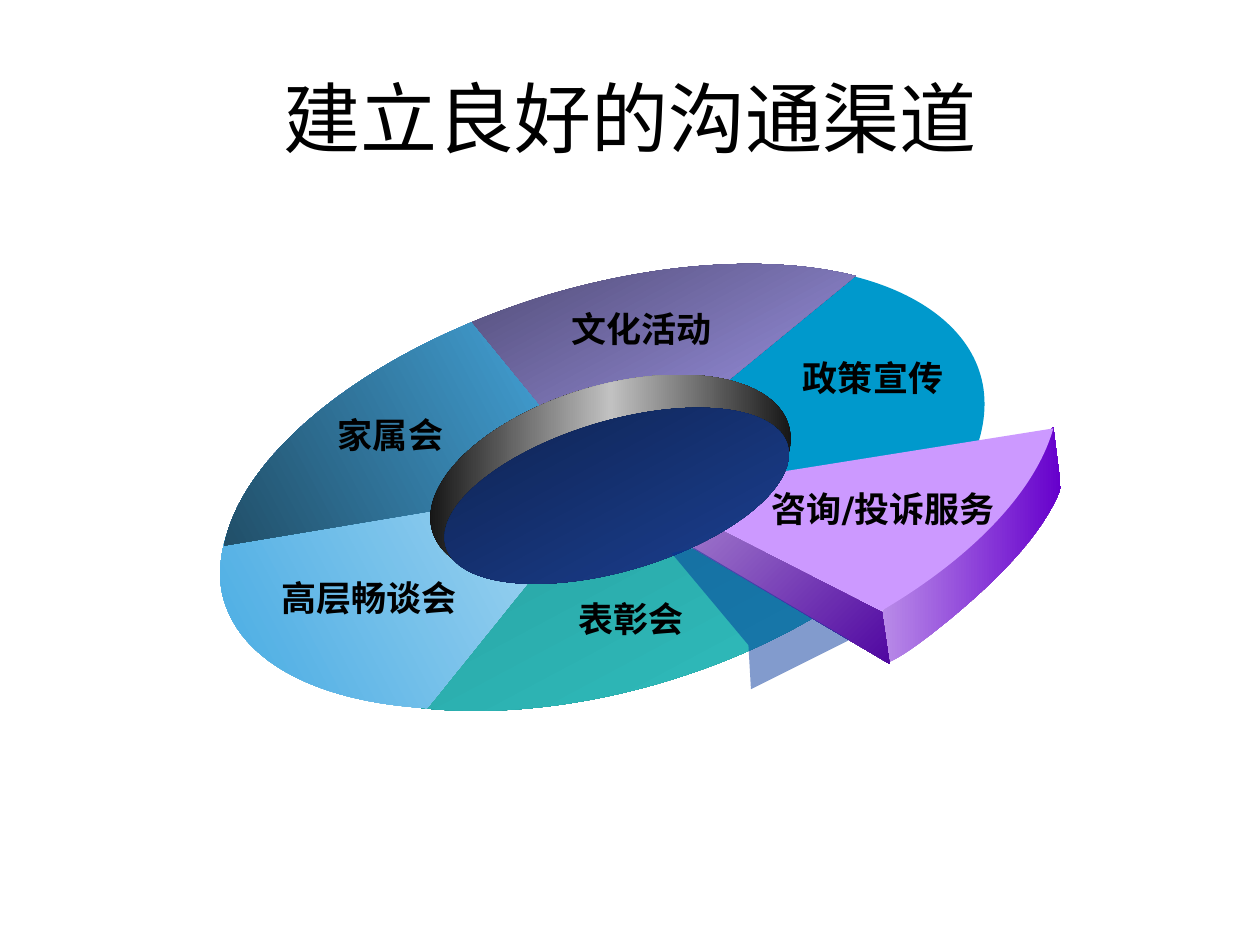
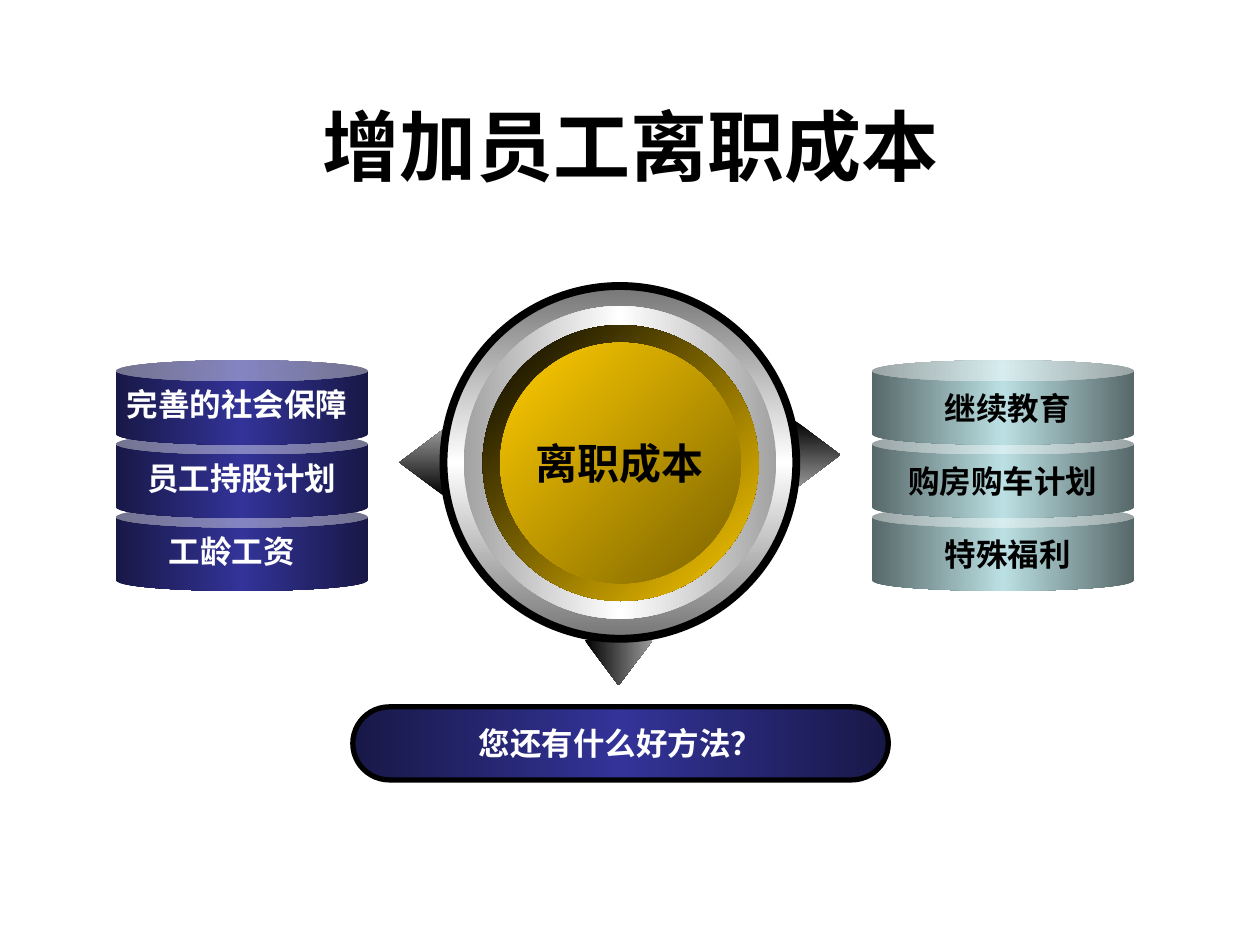
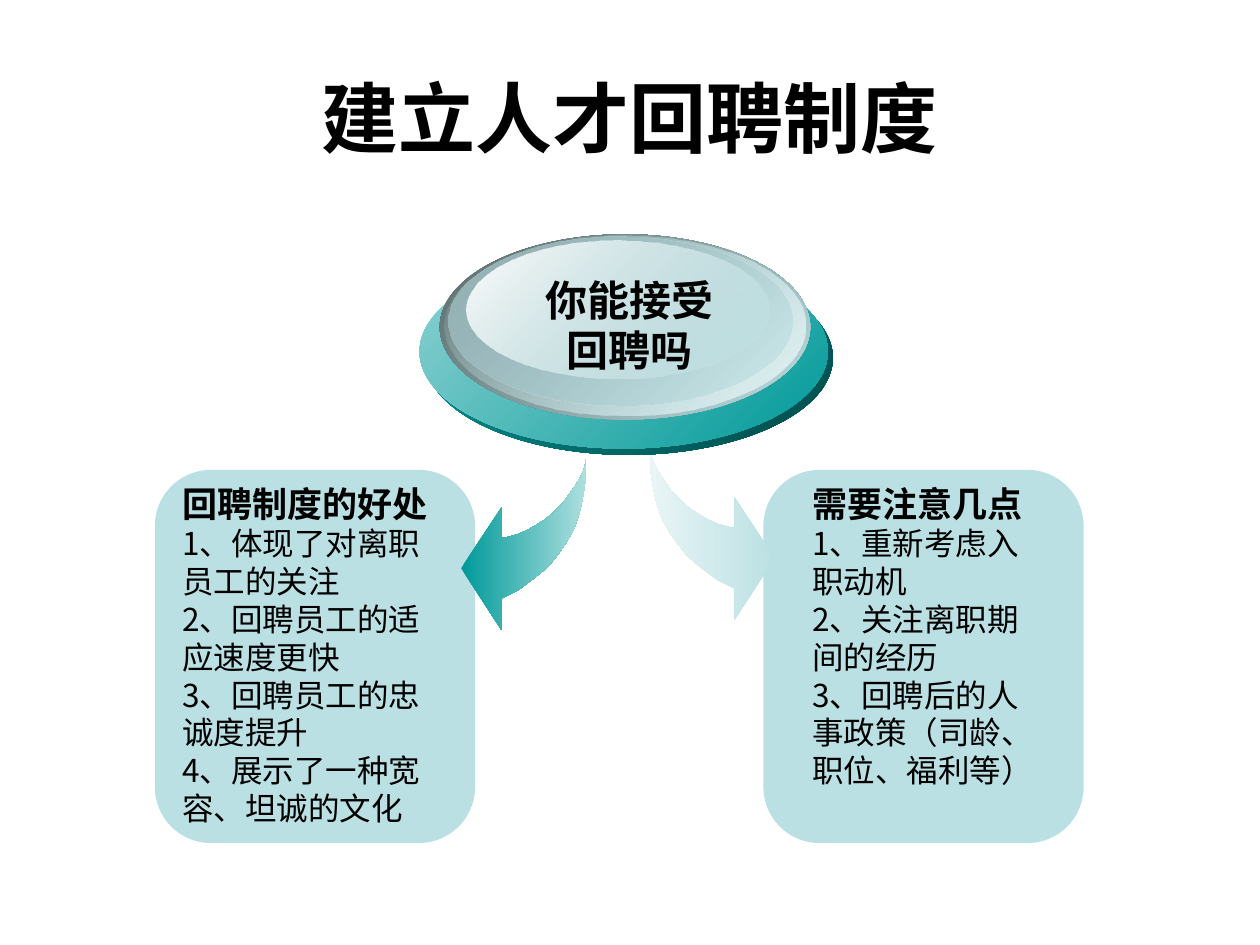
from lxml import etree
from copy import deepcopy
from pptx import Presentation
from pptx import util as u
from pptx.dml.color import RGBColor
from pptx.enum import shapes, text
from pptx.oxml.ns import qn

PX = 9144  # one px is a hundredth of an inch
SHAPE = shapes.MSO_SHAPE
MID = text.MSO_ANCHOR.MIDDLE
BLACK, WHITE = "000000", "FFFFFF"
NAVY = ["181847", "333399", "181847"]
MIST = ["576869", "BBE0E3", "576869"]
PALE, TEAL = "BBE0E3", "009999"
CJK = "Noto Sans CJK SC"
TILT = -16.6  # lean of the wheel, degrees


def emu(*vals):
    return [u.Emu(round(v * PX)) for v in vals]


def rgb(code):
    return RGBColor.from_string(code)


def fade(clr, pct):
    """Give a colour element an opacity in percent."""
    etree.SubElement(clr, qn("a:alpha")).set("val", str(pct * 1000))


def paint(shape, fill, ang=0, line=None, alpha=None):
    """Fill with one colour or a list of stops; alpha maps a stop to its opacity."""
    shape.shadow.inherit = False
    if line:
        shape.line.color.rgb = rgb(line[0])
        shape.line.width = u.Pt(line[1])
    else:
        shape.line.fill.background()
    if isinstance(fill, str):
        shape.fill.solid()
        shape.fill.fore_color.rgb = rgb(fill)
        stops = shape._element.spPr.findall(qn("a:solidFill"))
    else:
        shape.fill.gradient()
        shape.fill.gradient_angle = -ang % 360
        bar = shape._element.spPr.find(qn("a:gradFill")).find(qn("a:gsLst"))
        while len(bar) < len(fill):
            bar.append(deepcopy(bar[-1]))
        for i, stop in enumerate(shape.fill.gradient_stops):
            stop.color.rgb = rgb(fill[i])
            stop.position = i / (len(fill) - 1)
        stops = list(bar)
    for i, pct in (alpha or {}).items():
        fade(stops[i][0], pct)
    return shape


def add(slide, kind, box, fill, turn=0, adj=(), **look):
    shape = slide.shapes.add_shape(kind, *emu(*box))
    shape.rotation = turn
    for i, val in enumerate(adj):
        shape.adjustments[i] = val
    return paint(shape, fill, **look)


def bend(line):
    """Turn a line and the two after it into one cubic curve."""
    curve = etree.Element(qn("a:cubicBezTo"))
    rest = [line, line.getnext(), line.getnext().getnext()]
    line.addprevious(curve)
    for item in rest:
        curve.append(item[0])
        item.getparent().remove(item)


def draw(slide, x, y, start, parts, fill, flip=1, **look):
    """Draw an outline; a part is a line (x, y) or a cubic of six numbers."""
    flat = [part[i:i + 2] for part in parts for i in range(0, len(part), 2)]
    pts = [emu(x + flip * px, y + py) for px, py in [start, *flat]]
    pen = slide.shapes.build_freeform(*pts[0])
    pen.add_line_segments(pts[1:], close=True)
    shape = pen.convert_to_shape()
    lines = list(shape._element.spPr.iter(qn("a:lnTo")))
    at = 0
    for part in parts:
        if len(part) == 6:
            bend(lines[at])
        at += len(part) // 2
    return paint(shape, fill, **look)


def write(frame, lines, size=18, bold=True, color=BLACK, font="Arial",
          align=text.PP_ALIGN.CENTER, anchor=text.MSO_ANCHOR.TOP, wrap=True, head=None):
    """Write one paragraph a line; head is the size of a bold first line."""
    frame.word_wrap = wrap
    frame.vertical_anchor = anchor
    frame.margin_left = frame.margin_right = emu(10)[0]
    frame.margin_top = frame.margin_bottom = emu(5)[0]
    for i, line in enumerate(lines):
        para = frame.paragraphs[0] if i == 0 else frame.add_paragraph()
        top = head and i == 0
        pts = head if top else size
        para.alignment = align
        para.line_spacing = u.Pt(round(pts * 1.2, 1))
        run = para.add_run()
        run.text = line
        run.font.size = u.Pt(pts)
        run.font.bold = bool(bold or top)
        run.font.name = font
        run.font.color.rgb = rgb(color)
        east = etree.SubElement(run._r.get_or_add_rPr(), qn("a:ea"))
        east.set("typeface", CJK)


def label(slide, box, *lines, **form):
    write(slide.shapes.add_textbox(*emu(*box)).text_frame, lines, **form)


def title(slide, words, x=50, y=30, bold=True):
    label(slide, (x, y, 900, 125), words, size=44, bold=bold, anchor=MID)


# Slide 1: tilted wheel with one slice pulled out
def wheel(slide, x, y):
    def oval(ox, oy, w, h, fill, ang):
        add(slide, SHAPE.OVAL, (x + ox, y + oy, w, h), fill, turn=TILT, ang=ang - TILT)

    def part(start, parts, fill, **look):
        draw(slide, x, y, start, parts, fill, **look)

    def name(cx, top, words):
        label(slide, (x + cx - 120, y + top, 240, 44), words, size=20,
              font="DejaVu Sans", wrap=False)

    # rim and slices
    oval(17, 28, 608, 320, ["208282", "33CCCC"], 62)
    part((512, 18), [(569, 31, 607, 60, 618, 97), (624, 117, 622, 140, 612, 163),
                     (319, 186)], "0099CC")
    part((20, 224), [(14, 243, 13, 261, 18, 277), (33, 326, 93, 357, 179, 362),
                     (320, 187)], ["ABD9F2", "47ABE3"], ang=152)
    part((209, 58), [(230, 49, 252, 41, 275, 34), (363, 8, 452, 2, 519, 19),
                     (319, 183)], ["4F4A73", "AAA0F8"], ang=62)
    part((214, 56), [(106, 101, 30, 170, 18, 233), (318, 183)],
         ["47ABE3", "214F69"], ang=152)
    oval(177, 106, 295, 147, [BLACK, "C1C1C1", BLACK], 0)
    # slice pulled out: outer side, top, front side
    part((540, 285), [(676, 139), (682, 187), (675, 207, 657, 232, 634, 255),
                      (612, 278, 560, 321, 544, 326), (541, 313, 540, 285, 540, 285)],
         ["B98BE8", "6600CC"])
    part((676, 140), [(662, 190, 611, 244, 534, 288), (350, 192)], "CC99FF")
    part((540, 286), [(546, 327), (366, 221), (354, 191)], ["AF8ED4", "5007A1"], ang=45)
    # hub and shade
    oval(188, 134, 283, 119, ["0D1F48", "1D449C"], 62)
    part((373, 239), [(434, 312), (436, 347), (514, 308), (391, 235)], "003399",
         alpha={0: 49})
    # names
    for cx, top, words in [(349, 39, "文化活动"), (533, 78, "政策宣传"),
                           (150, 123, "家属会"), (341, 269, "表彰会"),
                           (133, 253, "高层畅谈会"), (541, 182, "咨询/投诉服务")]:
        name(cx, top, words)


# Slide 2: dial with three pointers, two stacks and a bar
def dial(slide, x, y):
    for cx, cy, turn, ang in [(-17, 140, 270, 0), (297, 134, 90, 0), (139, 299, 180, 180)]:
        add(slide, SHAPE.UP_ARROW, (x + cx - 27, y + cy - 18, 54, 36), [BLACK, "9B9B9B"],
            turn=turn, adj=(0.52, 1), ang=ang)
    for gap, size, fill, ang, line in [
            (0, 280, ["767676", WHITE, "767676"], 90, (BLACK, 4.5)),
            (16, 248, ["A2A2A2", WHITE, "A2A2A2"], 0, None),
            (31, 219, [BLACK, "FFCC00"], 45, None),
            (45, 191, ["FFCC00", "7C6300"], 45, None)]:
        add(slide, SHAPE.OVAL, (x + gap, y + gap, size, size), fill, ang=ang, line=line)
    label(slide, (x + 40, y + 115, 200, 50), "离职成本", size=24)


def stack(slide, x, y, wide, fill, color, drop, names):
    step = 58
    for i in reversed(range(len(names))):
        add(slide, SHAPE.CAN, (x, y + i * step, wide, 67), fill, adj=(0.25,))
    for i, (cx, words) in enumerate(names):
        label(slide, (x + cx - 125, y + drop + i * step, 250, 40), words, color=color)


def bar(slide, x, y, words):
    pill = add(slide, SHAPE.ROUNDED_RECTANGLE, (x, y, 425, 58), NAVY, adj=(0.5,),
               line=(BLACK, 3))
    write(pill.text_frame, [words], color=WHITE, font="DejaVu Sans", anchor=MID, wrap=False)


# Slide 3: button, two curved arrows and two cards
def card(slide, x, y, inset, wide, lines):
    add(slide, SHAPE.ROUNDED_RECTANGLE, (x, y, 250, 292), PALE, adj=(0.17,), line=(PALE, 3))
    label(slide, (x + inset, y + 3, wide, 284), *lines, bold=False, head=20, font=CJK,
          align=text.PP_ALIGN.LEFT)


def hook(slide, x, y, flip, fill, ang):
    """Arrow that starts at x, y and bends outwards; flip is -1 for left."""
    outer = [(0, 15), (2, 29), (5, 43), (9, 55), (15, 66), (22, 76), (30, 86),
             (41, 95), (53, 104), (67, 111)]
    point = [(67, 136), (99, 87), (67, 39)]
    inner = [(67, 63), (61, 62), (54, 60), (47, 57), (40, 53), (32, 48), (25, 42),
             (18, 35), (13, 28), (8, 21), (4, 14), (1, 7)]
    draw(slide, x, y, (0, 0), outer + point + inner, fill, flip=flip, ang=ang)


def button(slide, x, y):
    for ox, oy, w, h, fill, alpha in [
            (4, 21, 324, 154, [TEAL, "004A4A"], None),
            (0, 16, 324, 154, ["8ED2D2", TEAL], None),
            (16, 0, 294, 147, ["576869", PALE], None),
            (20, 1, 286, 143, [PALE, "E7F4F5"], {0: 0}),
            (23, 2, 273, 134, ["94B1B4", PALE], {1: 48}),
            (37, 5, 240, 109, [WHITE, PALE], {1: 38})]:
        add(slide, SHAPE.OVAL, (x + ox, y + oy, w, h), fill, ang=45, alpha=alpha)
    label(slide, (x + 50, y + 27, 233, 90), "你能接受", "回聘吗", size=24)


def main():
    deck = Presentation()
    deck.slide_width, deck.slide_height = emu(1000, 750)
    one, two, three = [deck.slides.add_slide(deck.slide_layouts[6]) for _ in range(3)]

    title(one, "建立良好的沟通渠道", bold=False)
    wheel(one, 160, 200)

    title(two, "增加员工离职成本", x=51, y=52)
    dial(two, 352, 227)
    stack(two, 92, 286, 200, NAVY, WHITE, 15,
          [(96, "完善的社会保障"), (100, "员工持股计划"), (92, "工龄工资")])
    stack(two, 692, 286, 208, MIST, BLACK, 18,
          [(108, "继续教育"), (104, "购房购车计划"), (108, "特殊福利")])
    bar(two, 280, 561, "您还有什么好方法？")

    title(three, "建立人才回聘制度")
    card(three, 608, 375, 27, 206, [
        "需要注意几点", "1、重新考虑入职动机", "2、关注离职期间的经历",
        "3、回聘后的人事政策（司龄、职位、福利等）"])
    card(three, 125, 375, 10, 223, [
        "回聘制度的好处", "1、体现了对离职员工的关注", "2、回聘员工的适应速度更快",
        "3、回聘员工的忠诚度提升", "4、展示了一种宽容、坦诚的文化"])
    hook(three, 465, 364, -1, [TEAL, "AEDFDF"], 0)
    hook(three, 516, 356, 1, [PALE, "E9F5F6"], 180)
    button(three, 333, 186)

    deck.save("out.pptx")


if __name__ == "__main__":
    main()
